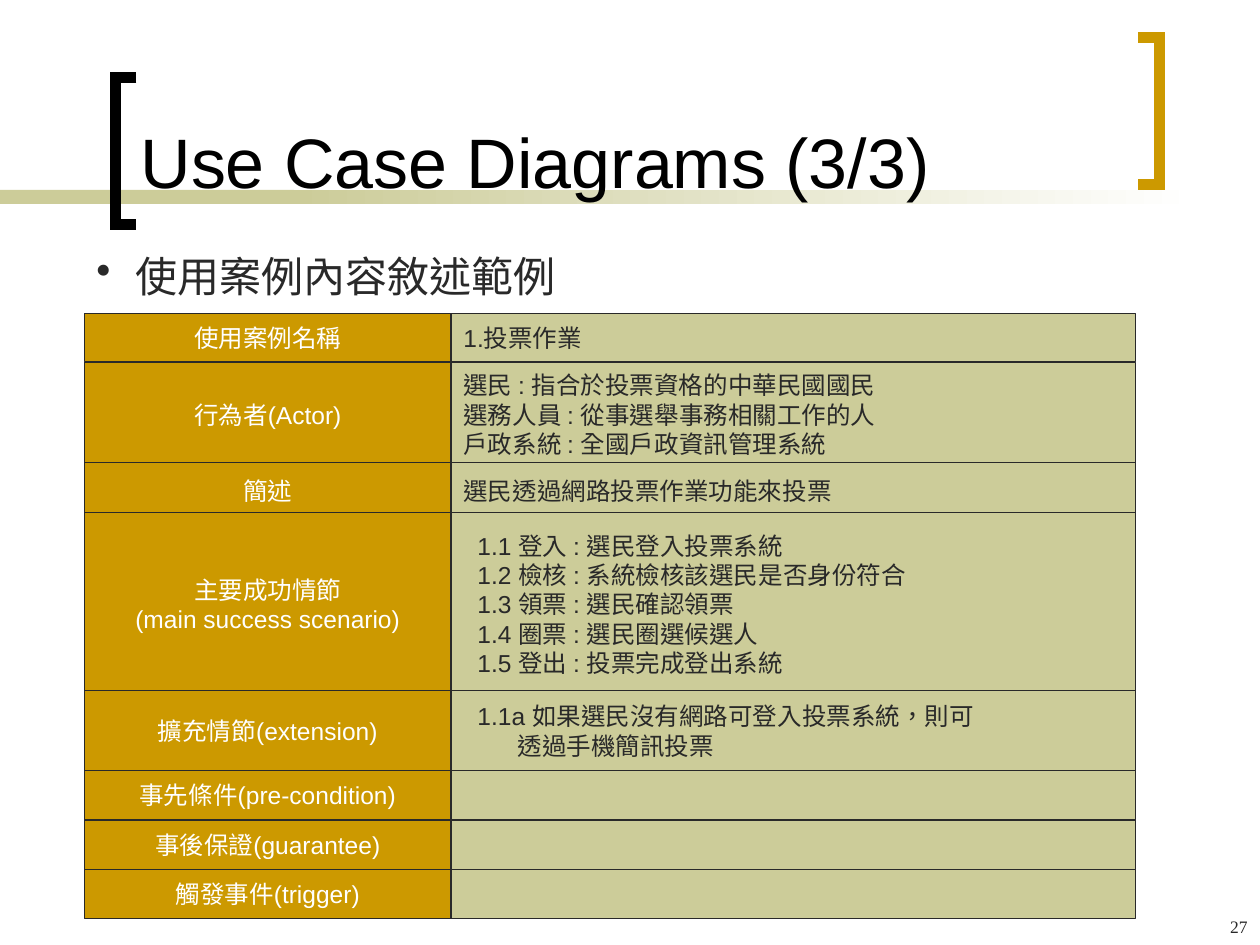
from lxml.etree import SubElement
from pptx import Presentation
from pptx.dml.color import RGBColor
from pptx.enum.lang import MSO_LANGUAGE_ID
from pptx.enum.shapes import MSO_SHAPE
from pptx.enum.text import MSO_ANCHOR, PP_ALIGN
from pptx.oxml.ns import qn
from pptx.util import Pt

BLACK, WHITE, DARK = "000000", "FFFFFF", "292929"
GOLD, SAGE = "CC9900", "CCCC99"

# Each row: top offset, height, label lines, content lines, content left margin, first-line indent
ROWS = [
    (0, 27.5, ["使用案例名稱"], ["1.投票作業"], 0, 0),
    (28, 59, ["行為者(Actor)"],
     ["選民 : 指合於投票資格的中華民國國民",
      "選務人員 : 從事選舉事務相關工作的人\v戶政系統 : 全國戶政資訊管理系統"], 0, 0),
    (85, 32, ["簡述"], ["選民透過網路投票作業功能來投票"], 0, 0),
    (113.75, 104.5, ["主要成功情節", "(main success scenario)"],
     ["1.1 登入 : 選民登入投票系統",
      "1.2 檢核 : 系統檢核該選民是否身份符合",
      "1.3 領票 : 選民確認領票",
      "1.4 圈票 : 選民圈選候選人",
      "1.5 登出 : 投票完成登出系統"], 8, 0),
    (215.5, 45.5, ["擴充情節(extension)"],
     ["1.1a 如果選民沒有網路可登入投票系統，則可\v透過手機簡訊投票"], 31, -23),
    (261, 28.25, ["事先條件(pre-condition)"], [], 0, 0),
    (289.25, 28.25, ["事後保證(guarantee)"], [], 0, 0),
    (317.5, 28.25, ["觸發事件(trigger)"], [], 0, 0),
]


def rgb(color):
    return RGBColor.from_string(color)


def set_indent(paragraph, margin, first_line):
    properties = paragraph._p.get_or_add_pPr()
    properties.set("marL", str(Pt(margin)))
    properties.set("indent", str(Pt(first_line)))
    return properties


def set_font(paragraph, size, color, name="Arial"):
    font = paragraph.font
    font.size = Pt(size)
    font.name = name
    font.color.rgb = rgb(color)
    for run in paragraph.runs:
        run.font.language_id = MSO_LANGUAGE_ID.TRADITIONAL_CHINESE


def add_text(slide, box, text, size, color, name="Arial", anchor=MSO_ANCHOR.TOP,
             alignment=PP_ALIGN.LEFT, bullet=None):
    frame = slide.shapes.add_textbox(*map(Pt, box)).text_frame
    frame.word_wrap = True
    frame.vertical_anchor = anchor
    paragraph = frame.paragraphs[0]
    paragraph.text = text
    paragraph.alignment = alignment
    if bullet:
        properties = set_indent(paragraph, 22.5, -22.5)
        bullet_color = SubElement(properties, qn("a:buClr"))
        SubElement(bullet_color, qn("a:srgbClr"), val=color)
        SubElement(properties, qn("a:buChar"), char=bullet)
    set_font(paragraph, size, color, name)


def add_rectangle(slide, left, top, width, height):
    shape = slide.shapes.add_shape(
        MSO_SHAPE.RECTANGLE, Pt(left), Pt(top), Pt(width), Pt(height))
    shape.shadow.inherit = False
    return shape


def add_band(slide, left, top, width, height):
    """Stripe that is solid on the left and fades to white on the right."""
    solid_width = 168
    solid = add_rectangle(slide, left, top, solid_width, height)
    fading = add_rectangle(slide, left + solid_width, top, width - solid_width, height)
    for shape in (solid, fading):
        shape.line.fill.background()
    solid.fill.solid()
    solid.fill.fore_color.rgb = rgb(SAGE)
    fading.fill.gradient()
    fading.fill.gradient_angle = 0
    for stop, color, position in zip(fading.fill.gradient_stops, (SAGE, WHITE), (0, 1)):
        stop.color.rgb = rgb(color)
        stop.position = position


def add_bracket(slide, left, top, width, height, color, opens_right):
    right, bottom = left + width, top + height
    tip, spine = (right, left) if opens_right else (left, right)
    builder = slide.shapes.build_freeform(Pt(tip), Pt(top))
    builder.add_line_segments(
        [(Pt(spine), Pt(top)), (Pt(spine), Pt(bottom)), (Pt(tip), Pt(bottom))], close=False)
    shape = builder.convert_to_shape()
    shape.shadow.inherit = False
    shape.fill.background()
    shape.line.color.rgb = rgb(color)
    shape.line.width = Pt(6)
    SubElement(shape.line._get_or_add_ln(), qn("a:miter"), lim="800000")


def add_header(slide, left, top, width, height):
    add_band(slide, left, top + 108.5, width, 8)
    add_bracket(slide, left + 66, top + 44.25, 12, 84, BLACK, True)
    add_bracket(slide, left + 650.5, top + 21.5, 12, 84, GOLD, False)
    add_text(slide, (left + 73.25, top + 8, 564, height - 8), "Use Case Diagrams (3/3)",
             40, BLACK, anchor=MSO_ANCHOR.BOTTOM)


def add_cell(slide, box, lines, fill, color, alignment, margin=0, first_line=0):
    shape = add_rectangle(slide, *box)
    shape.fill.solid()
    shape.fill.fore_color.rgb = rgb(fill)
    shape.line.color.rgb = rgb(DARK)
    shape.line.width = Pt(0.75)
    if not lines:
        return
    frame = shape.text_frame
    frame.word_wrap = True
    frame.vertical_anchor = MSO_ANCHOR.MIDDLE
    frame.text = "\n".join(lines)
    for paragraph in frame.paragraphs:
        paragraph.alignment = alignment
        paragraph.line_spacing = Pt(16.8)
        set_indent(paragraph, margin, first_line)
        set_font(paragraph, 14, color)


def add_use_case_form(slide, left, top, width, label_width):
    content_left, content_width = left + label_width, width - label_width
    for offset, height, label, content, margin, first_line in ROWS:
        add_cell(slide, (left, top + offset, label_width, height),
                 label, GOLD, WHITE, PP_ALIGN.CENTER)
        add_cell(slide, (content_left, top + offset, content_width, height),
                 content, SAGE, DARK, PP_ALIGN.LEFT, margin, first_line)


def main():
    presentation = Presentation()
    presentation.slide_width, presentation.slide_height = Pt(720), Pt(540)
    slide = presentation.slides.add_slide(presentation.slide_layouts[6])
    add_header(slide, 0, 0, 684, 119)
    add_text(slide, (48, 139.5, 335, 36), "使用案例內容敘述範例", 24, DARK, bullet="•")
    add_use_case_form(slide, 48.25, 179.25, 600.5, 209.5)
    add_text(slide, (570, 520, 150, 20), "27", 10, DARK, "Times New Roman",
             alignment=PP_ALIGN.RIGHT)
    presentation.save("out.pptx")


if __name__ == "__main__":
    main()
